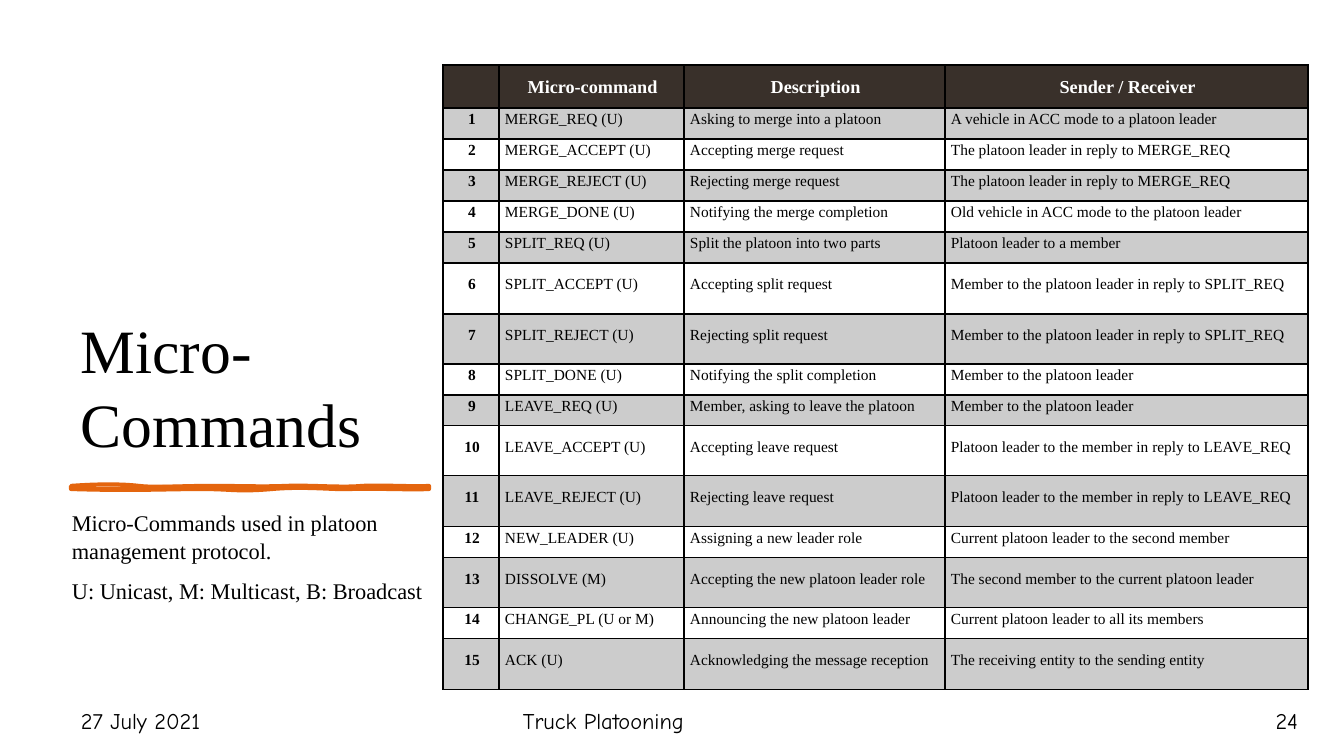
from dataclasses import dataclass

from lxml import etree
from pptx import Presentation
from pptx import util as u
from pptx.dml.color import RGBColor
from pptx.enum import shapes, text
from pptx.oxml import ns

PX = 914400 / 100.8


@dataclass(frozen=True)
class Theme:
    paper: str = "FFFFFF"
    ink: str = "000000"
    accent: str = "E4650E"
    header: str = "39302A"
    serif: str = "Times New Roman"
    casual: str = "Comic Neue"
    title: int = 44
    body: int = 16
    head: int = 13
    cell: int = 11
    leading: float = 1.07
    band_alpha: int = 20


THEME = Theme()
LEFT, CENTER, RIGHT = text.PP_ALIGN.LEFT, text.PP_ALIGN.CENTER, text.PP_ALIGN.RIGHT
TOP, MIDDLE, BOTTOM = (text.MSO_ANCHOR.TOP, text.MSO_ANCHOR.MIDDLE,
                       text.MSO_ANCHOR.BOTTOM)

HEADINGS = ("", "Micro-command", "Description", "Sender / Receiver")
HEADER_HEIGHT = 43
COLUMN_WIDTHS = (56, 185, 261, 363)
COMMANDS = (
    (31, "MERGE_REQ (U)", "Asking to merge into a platoon",
     "A vehicle in ACC mode to a platoon leader"),
    (31, "MERGE_ACCEPT (U)", "Accepting merge request",
     "The platoon leader in reply to MERGE_REQ"),
    (31, "MERGE_REJECT (U)", "Rejecting merge request",
     "The platoon leader in reply to MERGE_REQ"),
    (31, "MERGE_DONE (U)", "Notifying the merge completion",
     "Old vehicle in ACC mode to the platoon leader"),
    (31, "SPLIT_REQ (U)", "Split the platoon into two parts",
     "Platoon leader to a member"),
    (51, "SPLIT_ACCEPT (U)", "Accepting split request",
     "Member to the platoon leader in reply to SPLIT_REQ"),
    (50, "SPLIT_REJECT (U)", "Rejecting split request",
     "Member to the platoon leader in reply to SPLIT_REQ"),
    (31, "SPLIT_DONE (U)", "Notifying the split completion",
     "Member to the platoon leader"),
    (31, "LEAVE_REQ (U)", "Member, asking to leave the platoon",
     "Member to the platoon leader"),
    (50, "LEAVE_ACCEPT (U)", "Accepting leave request",
     "Platoon leader to the member in reply to LEAVE_REQ"),
    (51, "LEAVE_REJECT (U)", "Rejecting leave request",
     "Platoon leader to the member in reply to LEAVE_REQ"),
    (31, "NEW_LEADER (U)", "Assigning a new leader role",
     "Current platoon leader to the second member"),
    (50, "DISSOLVE (M)", "Accepting the new platoon leader role",
     "The second member to the current platoon leader"),
    (31, "CHANGE_PL (U or M)", "Announcing the new platoon leader",
     "Current platoon leader to all its members"),
    (51, "ACK (U)", "Acknowledging the message reception",
     "The receiving entity to the sending entity"),
)

BRUSH_BOX = (71, 486, 358, 3)
BRUSH_OUTLINE = (
    (98, 484, 122, 484, 139, 486), (156, 488, 178, 486, 211, 486),
    (243, 486, 262, 487, 286, 486), (310, 485, 342, 488, 362, 486),
    (382, 485, 415, 487, 429, 486), (429, 487, 429, 489, 429, 489),
    (411, 490, 367, 488, 351, 489), (335, 490, 306, 486, 272, 489),
    (237, 492, 233, 489, 201, 489), (167, 489, 133, 491, 71, 489),
    (71, 488, 71, 487, 71, 486),
)
BRUSH_BODY = (
    (103, 488, 111, 487, 139, 486), (167, 485, 170, 484, 201, 486),
    (230, 488, 263, 487, 279, 486), (295, 485, 330, 489, 347, 486),
    (365, 484, 400, 490, 429, 486), (429, 488, 429, 488, 429, 489),
    (415, 489, 375, 492, 358, 489), (341, 487, 311, 489, 279, 489),
    (246, 489, 242, 488, 218, 489), (195, 490, 180, 488, 146, 489),
    (112, 490, 93, 489, 71, 489), (71, 488, 71, 488, 71, 486),
)


def px(length):
    return u.Emu(round(length * PX))


def rgb(color):
    return RGBColor.from_string(color)


def write(paragraph, words, size, font=THEME.serif, color=THEME.ink, bold=False,
          align=LEFT, leading=THEME.leading, after=0):
    paragraph.alignment = align
    paragraph.line_spacing = leading
    paragraph.space_after = u.Pt(after)
    run = paragraph.add_run()
    run.text = words
    run.font.size = u.Pt(size)
    run.font.name = font
    run.font.bold = bold
    run.font.color.rgb = rgb(color)


def add_text(slide, box, lines, size, anchor=TOP, **style):
    frame = slide.shapes.add_textbox(*map(px, box)).text_frame
    frame.word_wrap = True
    frame.vertical_anchor = anchor
    for index, words in enumerate(lines):
        paragraph = frame.add_paragraph() if index else frame.paragraphs[0]
        write(paragraph, words, size, **style)


def add_backdrop(slide):
    backdrop = slide.shapes.add_shape(shapes.MSO_SHAPE.RECTANGLE, 0, 0,
                                      px(1344), px(756))
    backdrop.shadow.inherit = False
    backdrop.fill.solid()
    backdrop.fill.fore_color.rgb = rgb(THEME.paper)
    backdrop.line.fill.background()


def add_curves(contours, curves, **paint):
    left, top, width, height = BRUSH_BOX
    contour = etree.SubElement(contours, ns.qn("a:path"), w=str(width),
                               h=str(height), **paint)
    start = etree.SubElement(contour, ns.qn("a:moveTo"))
    etree.SubElement(start, ns.qn("a:pt"), x="0", y="0")
    for curve in curves:
        bend = etree.SubElement(contour, ns.qn("a:cubicBezTo"))
        for x, y in zip(curve[::2], curve[1::2]):
            etree.SubElement(bend, ns.qn("a:pt"), x=str(x - left), y=str(y - top))
    etree.SubElement(contour, ns.qn("a:close"))


def add_brush(slide):
    left, top, width, height = map(px, BRUSH_BOX)
    builder = slide.shapes.build_freeform(left, top)
    builder.add_line_segments([(left + width, top), (left + width, top + height),
                               (left, top + height)])
    brush = builder.convert_to_shape()
    contours = next(brush._element.iter(ns.qn("a:pathLst")))
    contours.clear()
    add_curves(contours, BRUSH_OUTLINE, fill="none")
    add_curves(contours, BRUSH_BODY, stroke="0")
    brush.shadow.inherit = False
    brush.fill.solid()
    brush.fill.fore_color.rgb = rgb(THEME.accent)
    brush.line.color.rgb = rgb(THEME.accent)
    brush.line.width = u.Pt(3)


def add_borders(cell, top, bottom):
    properties = cell._tc.get_or_add_tcPr()
    for side, width in (("L", 1), ("R", 1), ("T", top), ("B", bottom)):
        edge = etree.SubElement(properties, ns.qn(f"a:ln{side}"), w=str(u.Pt(width)))
        paint = etree.SubElement(edge, ns.qn("a:solidFill"))
        etree.SubElement(paint, ns.qn("a:srgbClr"), val=THEME.ink)


def paint_cell(cell, color, alpha=100):
    cell.fill.solid()
    cell.fill.fore_color.rgb = rgb(color)
    if alpha < 100:
        swatch = cell._tc.tcPr.find(ns.qn("a:solidFill"))[0]
        etree.SubElement(swatch, ns.qn("a:alpha"), val=str(alpha * 1000))


def fill_cell(cell, words, row, column):
    heading = row == 0
    size = THEME.head if heading else THEME.cell
    cell.margin_left, cell.margin_right, cell.margin_bottom = px(6), px(4), px(9)
    cell.margin_top = px(9 if heading else 0)
    cell.vertical_anchor = MIDDLE
    add_borders(cell, top=2 if row == 1 else 1, bottom=2 if heading else 1)
    if heading:
        paint_cell(cell, THEME.header)
    elif row % 2:
        paint_cell(cell, THEME.ink, THEME.band_alpha)
    else:
        cell.fill.background()
    paragraph = cell.text_frame.paragraphs[0]
    if words:
        lead = heading or column == 0
        write(paragraph, words, size, color=THEME.paper if heading else THEME.ink,
              bold=lead, align=CENTER if lead else LEFT)
    else:
        etree.SubElement(paragraph._p, ns.qn("a:endParaRPr"), sz=str(size * 100))


def add_commands(slide):
    rows = [HEADINGS] + [(str(number), *command[1:])
                         for number, command in enumerate(COMMANDS, 1)]
    heights = [HEADER_HEIGHT] + [command[0] for command in COMMANDS]
    box = (443, 65, sum(COLUMN_WIDTHS), sum(heights))
    table = slide.shapes.add_table(len(rows), len(HEADINGS), *map(px, box)).table
    table.first_row = table.horz_banding = False
    for column, width in zip(table.columns, COLUMN_WIDTHS):
        column.width = px(width)
    for row, (height, entries) in enumerate(zip(heights, rows)):
        table.rows[row].height = px(height)
        for column, words in enumerate(entries):
            fill_cell(table.cell(row, column), words, row, column)


def main():
    deck = Presentation()
    deck.slide_width, deck.slide_height = px(1344), px(756)
    slide = deck.slides.add_slide(deck.slide_layouts[6])
    add_backdrop(slide)
    add_text(slide, (71, 71, 394, 394), ["Micro-Commands"], THEME.title, BOTTOM,
             leading=1.0)
    add_brush(slide)
    for left, width, words, align in ((71, 202, "27 July 2021", LEFT),
                                      (513, 423, "Truck Platooning", LEFT),
                                      (1106, 202, "24", RIGHT)):
        add_text(slide, (left, 701, width, 40), [words], THEME.body, MIDDLE,
                 font=THEME.casual, align=align, leading=1.0, after=6)
    add_commands(slide)
    add_text(slide, (62, 502, 393, 107),
             ["Micro-Commands used in platoon management protocol.",
              "U: Unicast, M: Multicast, B: Broadcast"], THEME.body, after=8)
    deck.save("out.pptx")


if __name__ == "__main__":
    main()
